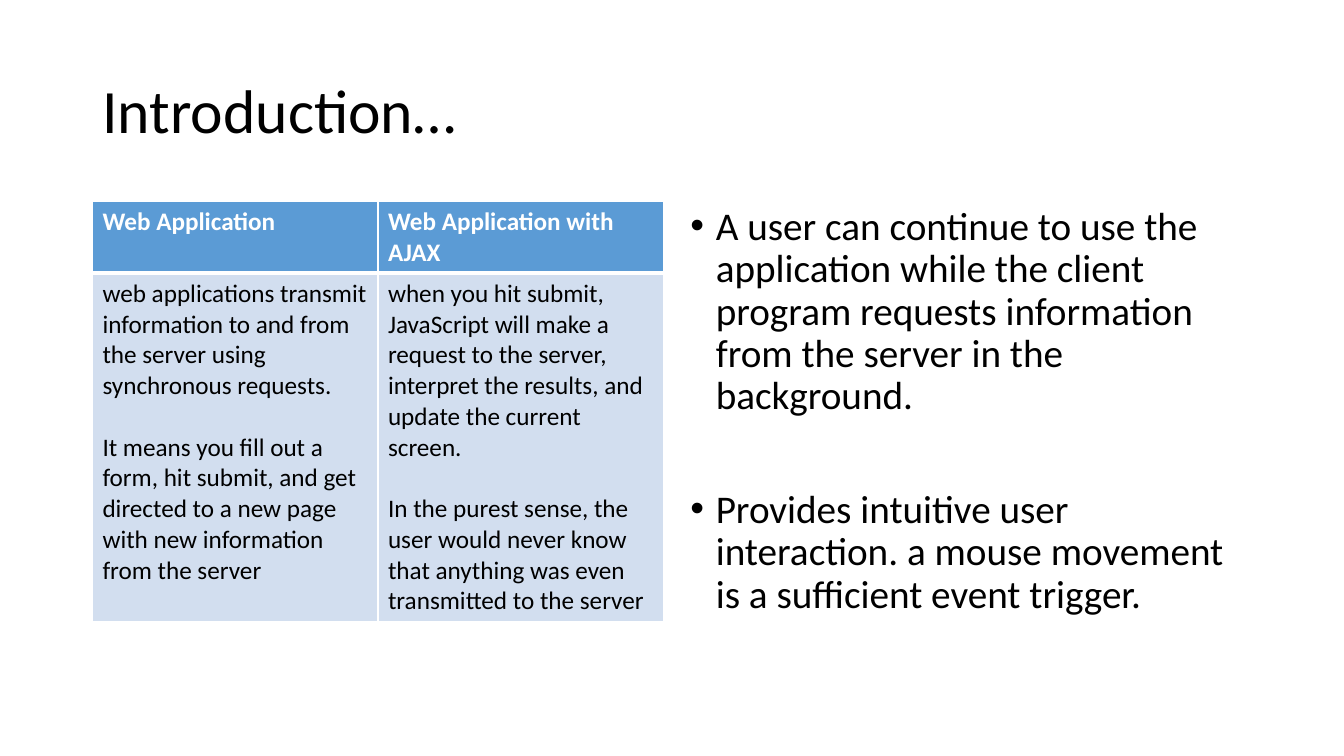
from pptx import Presentation
from pptx.dml.color import RGBColor
from pptx.enum.text import MSO_ANCHOR, MSO_AUTO_SIZE, PP_ALIGN
from pptx.oxml import parse_xml
from pptx.oxml.ns import nsdecls
from pptx.util import Cm, Pt

HUES = {"ink": "000000", "white": "FFFFFF", "head": "5B9BD5", "body": "D2DEEF"}


def put(item, vals):
    for name, val in vals.items():
        setattr(item, name, val)


def write(frame, texts, size, hue, bold, form, gap):
    for i, text in enumerate(texts):
        par = frame.paragraphs[0] if i == 0 else frame.add_paragraph()
        put(par, {"alignment": PP_ALIGN.LEFT, **form})
        if i:
            par.space_before = Pt(gap)
        run = par.add_run()
        run.text = text
        put(run.font, {"name": "Calibri", "size": Pt(size), "bold": bold})
        run.font.color.rgb = RGBColor.from_string(HUES[hue])


deck = Presentation()
put(deck, {"slide_width": Cm(33.87), "slide_height": Cm(19.05)})
slide = deck.slides.add_slide(deck.slide_layouts[5])

title = slide.shapes.title
put(title, {"left": Cm(2.33), "top": Cm(1.01), "width": Cm(29.21), "height": Cm(3.68)})
put(title.text_frame, {"vertical_anchor": MSO_ANCHOR.MIDDLE, "word_wrap": True,
                       "auto_size": MSO_AUTO_SIZE.NONE})
write(title.text_frame, ["Introduction…"], 44, "ink", False, {"line_spacing": 0.9}, 0)

cells = [
    [["Web Application"], ["Web Application with AJAX"]],
    [
        ["web applications transmit information to and from the server using synchronous requests.",
         "It means you fill out a form, hit submit, and get directed to a new page "
         "with new information from the server"],
        ["when you hit submit, JavaScript will make a request to the server, "
         "interpret the results, and update the current screen.",
         "In the purest sense, the user would never know that anything was even "
         "transmitted to the server"],
    ],
]
looks = [("head", "white", True, 3), ("body", "ink", False, 1)]

grid = slide.shapes.add_table(2, 2, Cm(2.33), Cm(5.08), Cm(14.39), Cm(10.56)).table
for row, high in zip(grid.rows, (1.78, 8.78)):
    row.height = Cm(high)

for r, (fill, hue, bold, base) in enumerate(looks):
    for c, texts in enumerate(cells[r]):
        cell = grid.cell(r, c)
        cell.fill.solid()
        cell.fill.fore_color.rgb = RGBColor.from_string(HUES[fill])
        write(cell.text_frame, texts, 18, hue, bold, {}, 22)
        props = cell._tc.get_or_add_tcPr()
        top = 3 if r else 1
        for i, (side, wide) in enumerate(zip("LRTB", (1, 1, top, base))):
            props.insert(i, parse_xml(
                f'<a:ln{side} {nsdecls("a")} w="{Pt(wide)}"><a:solidFill>'
                f'<a:srgbClr val="{HUES["white"]}"/></a:solidFill></a:ln{side}>'))

points = [
    "A user can continue to use the application while the client program requests "
    "information from the server in the background.",
    "Provides intuitive user interaction. a mouse movement is a sufficient event trigger.",
]
notes = slide.shapes.add_textbox(Cm(17.15), Cm(5.08), Cm(14.39), Cm(12.09)).text_frame
notes.word_wrap = True
write(notes, points, 28, "ink", False, {"line_spacing": 0.9, "space_before": Pt(10)}, 51)
for par in notes.paragraphs:
    props = par._p.get_or_add_pPr()
    props.set("marL", str(Cm(0.64)))
    props.set("indent", str(-Cm(0.64)))
    for tag in ('buFont {} typeface="Arial"', 'buChar {} char="•"'):
        props.append(parse_xml(f'<a:{tag.format(nsdecls("a"))}/>'))

deck.save("out.pptx")
